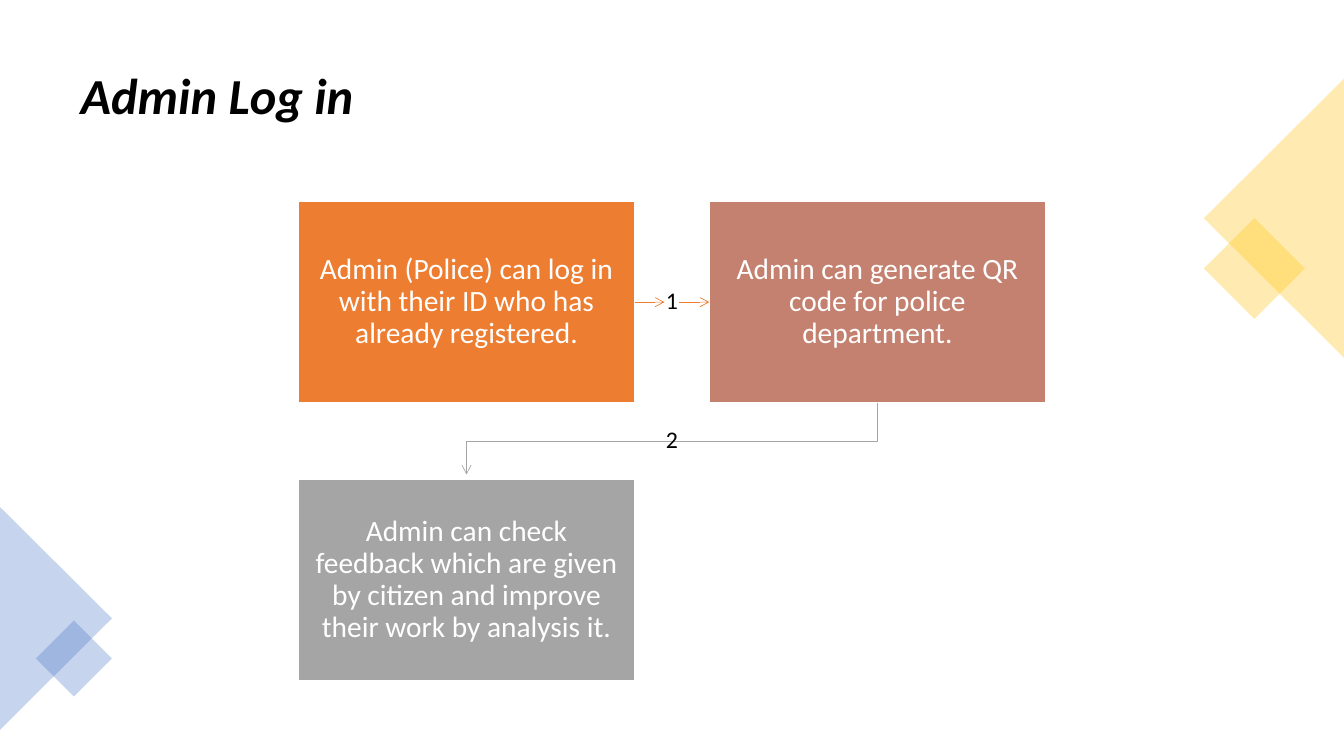
from dataclasses import dataclass

from lxml.etree import SubElement
from pptx import Presentation
from pptx.dml.color import RGBColor
from pptx.enum.shapes import MSO_CONNECTOR, MSO_SHAPE
from pptx.enum.text import MSO_ANCHOR, PP_ALIGN
from pptx.oxml.ns import qn
from pptx.util import Inches, Pt

BLACK = RGBColor(0x00, 0x00, 0x00)
WHITE = RGBColor(0xFF, 0xFF, 0xFF)
ORANGE = RGBColor(0xED, 0x7D, 0x31)
CLAY = RGBColor(0xC4, 0x81, 0x70)
GREY = RGBColor(0xA5, 0xA5, 0xA5)
GOLD = RGBColor(0xFF, 0xC0, 0x00)
BLUE = RGBColor(0x44, 0x72, 0xC4)

FONT = "Calibri"
CARD_SHARE = (0.45, 0.42)  # card width and height as shares of the flow
STEPS = [  # wording, fill, column, row
    ("Admin (Police) can log in with their ID who has already registered.", ORANGE, 0, 0),
    ("Admin can generate QR code for police department.", CLAY, 1, 0),
    ("Admin can check feedback which are given by citizen and improve "
     "their work by analysis it.", GREY, 0, 1),
]


@dataclass
class Box:
    """A rectangle in EMU."""
    left: int
    top: int
    width: int
    height: int

    def point(self, across, down):
        """Return the point at the given shares of the box."""
        return int(self.left + across * self.width), int(self.top + down * self.height)

    def inner(self, across, down, width, height):
        """Return the inner box given as shares of this one."""
        return Box(*self.point(across, down), int(width * self.width), int(height * self.height))

    def place(self):
        """Return left, top, width and height."""
        return self.left, self.top, self.width, self.height


def centred(center, width, height):
    """Return a box of the given size around a point."""
    return Box(int(center[0] - width / 2), int(center[1] - height / 2), int(width), int(height))


def write(frame, text, size, color, align=PP_ALIGN.CENTER, insets=None):
    """Set one vertically centred paragraph in a text frame."""
    frame.word_wrap = True
    frame.vertical_anchor = MSO_ANCHOR.MIDDLE
    if insets:
        frame.margin_left = frame.margin_right = Inches(insets[0])
        frame.margin_top = frame.margin_bottom = Inches(insets[1])
    paragraph = frame.paragraphs[0]
    paragraph.text = text
    paragraph.alignment = align
    paragraph.line_spacing = 0.9
    paragraph.font.name = FONT
    paragraph.font.size = Pt(size)
    paragraph.font.color.rgb = color
    return paragraph


def add_filled(slide, kind, box, color):
    """Add a flat preset shape with a solid fill."""
    shape = slide.shapes.add_shape(kind, *box.place())
    shape.shadow.inherit = False
    shape.fill.solid()
    shape.fill.fore_color.rgb = color
    return shape


def style_arrow(arrow, color):
    """Give a line its colour, weight and open arrowhead, without shadow."""
    arrow.line.color.rgb = color
    arrow.line.width = Pt(0.5)
    properties = arrow._element.spPr
    SubElement(properties.find(qn("a:ln")), qn("a:tailEnd"), type="arrow")
    SubElement(properties, qn("a:effectLst"))


def add_title(slide, box):
    """Place and format the title."""
    title = slide.shapes.title
    title.left, title.top, title.width, title.height = box.place()
    paragraph = write(title.text_frame, "Admin Log in", 36, BLACK, PP_ALIGN.LEFT)
    paragraph.font.bold = paragraph.font.italic = True


def add_corner(slide, box, color, turn, diamond_center, diamond_share):
    """Decorate a slide edge with a sideways triangle and a small diamond."""
    side = diamond_share * box.width
    pieces = [
        (MSO_SHAPE.ISOSCELES_TRIANGLE, centred(box.point(0.5, 0.5), box.height, box.width), turn),
        (MSO_SHAPE.RECTANGLE, centred(box.point(*diamond_center), side, side), 45),
    ]
    for kind, place, rotation in pieces:
        piece = add_filled(slide, kind, place, color)
        piece.rotation = rotation
        piece.line.fill.background()
        tint = piece._element.spPr.find(qn("a:solidFill"))[0]
        SubElement(tint, qn("a:alpha"), val="30000")


def add_step_number(slide, center, number):
    """Write a step number around a point."""
    label = slide.shapes.add_textbox(*centred(center, Inches(0.2), Inches(0.26)).place())
    write(label.text_frame, number, 17, BLACK, insets=(0.01, 0))


def add_flow(slide, box):
    """Draw the three step cards and the numbered arrows joining them."""
    card_width, card_height = CARD_SHARE
    column_step, row_step = 1 - card_width, 1 - card_height
    middle = card_height / 2

    for start, end in ((card_width, 0.49), (0.51, 0.55)):
        arrow = slide.shapes.add_connector(
            MSO_CONNECTOR.STRAIGHT, *box.point(start, middle), *box.point(end, middle))
        style_arrow(arrow, ORANGE)
    add_step_number(slide, box.point(0.5, middle), "1")

    from_x, to_x = column_step + card_width / 2, card_width / 2
    bend = [(from_x, card_height), (from_x, 0.5), (to_x, 0.5), (to_x, row_step - 0.01)]
    corners = [box.point(*corner) for corner in bend]
    builder = slide.shapes.build_freeform(*corners[0])
    builder.add_line_segments(corners[1:], close=False)
    return_arrow = builder.convert_to_shape()
    return_arrow.fill.background()
    style_arrow(return_arrow, GREY)
    add_step_number(slide, box.point(0.5, 0.5), "2")

    for text, color, column, row in STEPS:
        place = box.inner(column * column_step, row * row_step, card_width, card_height)
        card = add_filled(slide, MSO_SHAPE.RECTANGLE, place, color)
        card.line.color.rgb = WHITE
        card.line.width = Pt(1)
        write(card.text_frame, text, 21, WHITE, insets=(0.16, 0.17))


def build():
    """Build the slide and save it."""
    deck = Presentation()
    deck.slide_width, deck.slide_height = Inches(13.33), Inches(7.5)
    slide = deck.slides.add_slide(deck.slide_layouts[5])
    # The page is measured in inches: one column and one row are one inch each.
    columns, rows = 1 / 13.33, 1 / 7.5
    page = Box(0, 0, deck.slide_width, deck.slide_height)

    def region(left, top, width, height):
        """Return a page box given in columns and rows."""
        return page.inner(left * columns, top * rows, width * columns, height * rows)

    add_title(slide, region(0.7, 0.35, 11.93, 1.24))
    add_corner(slide, region(11.94, 0.78, 1.39, 2.77), GOLD, 270, (0.36, 0.68), 0.51)
    add_corner(slide, region(0, 5.03, 1.11, 2.21), BLUE, 90, (0.66, 0.68), 0.48)
    add_flow(slide, region(2.96, 2, 7.41, 4.75))
    deck.save("out.pptx")


build()
